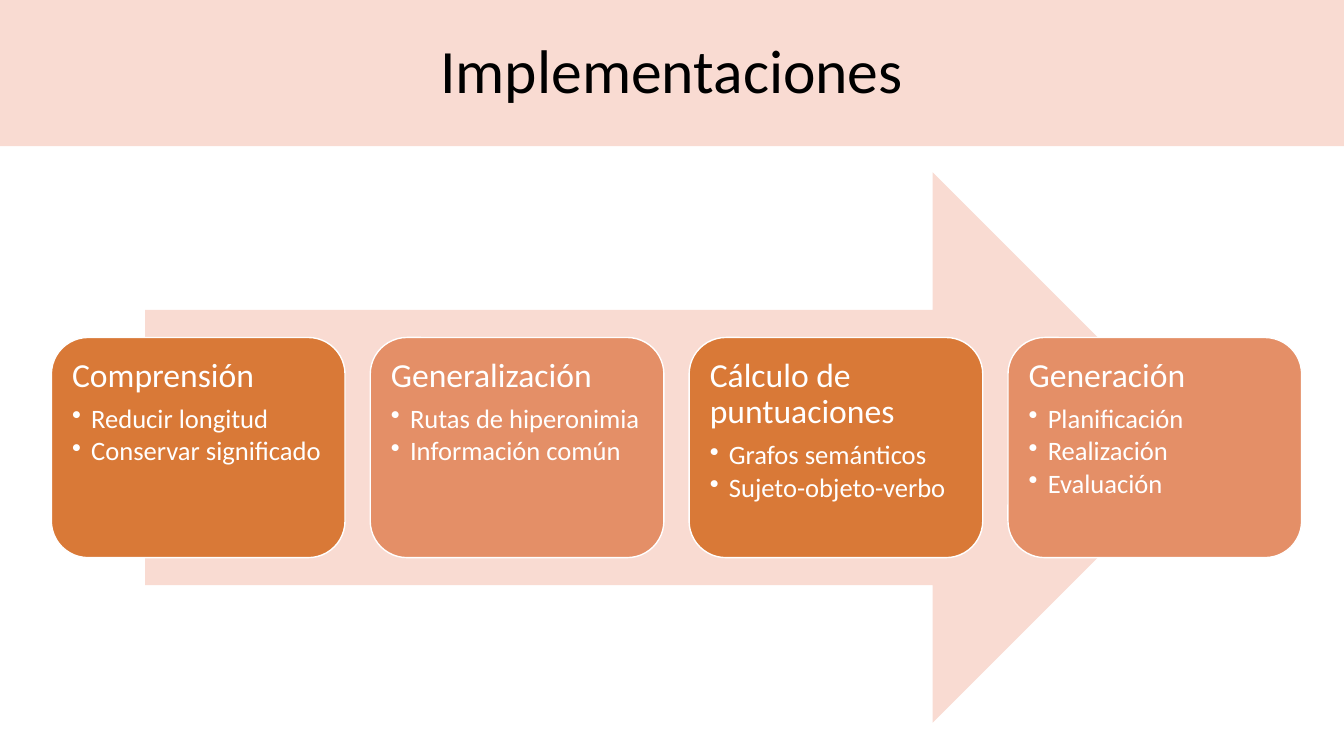
from lxml import etree
from pptx import Presentation
from pptx.dml.color import RGBColor
from pptx.enum.shapes import MSO_SHAPE
from pptx.enum.text import MSO_ANCHOR, PP_ALIGN
from pptx.oxml.ns import qn
from pptx.util import Inches, Pt

RECTANGLE = MSO_SHAPE.RECTANGLE
ARROW = MSO_SHAPE.RIGHT_ARROW
ROUNDED = MSO_SHAPE.ROUNDED_RECTANGLE
TOP, MIDDLE = MSO_ANCHOR.TOP, MSO_ANCHOR.MIDDLE
LEFT, CENTER = PP_ALIGN.LEFT, PP_ALIGN.CENTER

PINK = RGBColor(0xF9, 0xDB, 0xD2)
ORANGE = RGBColor(0xD9, 0x79, 0x37)
SALMON = RGBColor(0xE4, 0x8F, 0x67)
WHITE = RGBColor(0xFF, 0xFF, 0xFF)
BLACK = RGBColor(0x00, 0x00, 0x00)

FONT = "Calibri"
WIDTH, HEIGHT = 13.33, 7.5
BLEED = 0.1
CARD_GAP = 0.25
BULLET_INDENT = Inches(0.19)

STAGES = [
    ("Comprensión", ["Reducir longitud", "Conservar significado"]),
    ("Generalización", ["Rutas de hiperonimia", "Información común"]),
    ("Cálculo de puntuaciones", ["Grafos semánticos", "Sujeto-objeto-verbo"]),
    ("Generación", ["Planificación", "Realización", "Evaluación"]),
]


def add_filled(page, kind, box, color):
    shape = page.shapes.add_shape(kind, *(Inches(length) for length in box))
    shape.shadow.inherit = False
    shape.fill.solid()
    shape.fill.fore_color.rgb = color
    shape.line.fill.background()
    return shape


def style(para, size, color, align, space_after=0):
    para.alignment = align
    para.line_spacing = 0.9
    para.space_after = Pt(space_after)
    para.font.name = FONT
    para.font.size = Pt(size)
    para.font.color.rgb = color
    for span in para.runs:
        span.font.name = FONT
        span.font.size = Pt(size)
        span.font.color.rgb = color


def add_bullet(para):
    para.level = 1
    properties = para._p.get_or_add_pPr()
    properties.set("marL", str(BULLET_INDENT))
    properties.set("indent", str(-BULLET_INDENT))
    etree.SubElement(properties, qn("a:buChar")).set("char", "•")


def add_title_band(page, box, title):
    band = add_filled(page, RECTANGLE, box, PINK)
    frame = band.text_frame
    frame.text = title
    frame.vertical_anchor = MIDDLE
    style(frame.paragraphs[0], 44, BLACK, CENTER)


def add_card(page, box, color, heading, points):
    card = add_filled(page, ROUNDED, box, color)
    card.line.color.rgb = WHITE
    card.line.width = Pt(1)
    frame = card.text_frame
    frame.word_wrap = True
    frame.vertical_anchor = TOP
    frame.margin_left = frame.margin_right = Inches(0.1)
    frame.margin_top = frame.margin_bottom = Inches(0.1)
    frame.text = "\n".join([heading, *points])
    heading_para, *point_paras = frame.paragraphs
    style(heading_para, 24, WHITE, LEFT, 8)
    for para in point_paras:
        add_bullet(para)
        style(para, 19, WHITE, LEFT, 2.5)


def add_process(page, box):
    left, top, width, height = box
    # Arrow behind the stages
    arrow_width = 0.85 * width
    arrow_left = left + (width - arrow_width) / 2
    add_filled(page, ARROW, (arrow_left, top, arrow_width, height), PINK)
    # Equal cards, centred on the arrow
    card_height = 0.4 * height
    card_top = top + (height - card_height) / 2
    card_width = (width - CARD_GAP * (len(STAGES) - 1)) / len(STAGES)
    for column, (heading, points) in enumerate(STAGES):
        card_left = left + column * (card_width + CARD_GAP)
        color = SALMON if column % 2 else ORANGE
        add_card(page, (card_left, card_top, card_width, card_height),
                 color, heading, points)


def main():
    deck = Presentation()
    deck.slide_width, deck.slide_height = Inches(WIDTH), Inches(HEIGHT)
    page = deck.slides.add_slide(deck.slide_layouts[6])
    add_title_band(page, (-BLEED, 0, WIDTH + 2 * BLEED, 1.45), "Implementaciones")
    add_process(page, (0.51, 1.71, 12.4, 5.46))
    deck.save("out.pptx")


if __name__ == "__main__":
    main()
